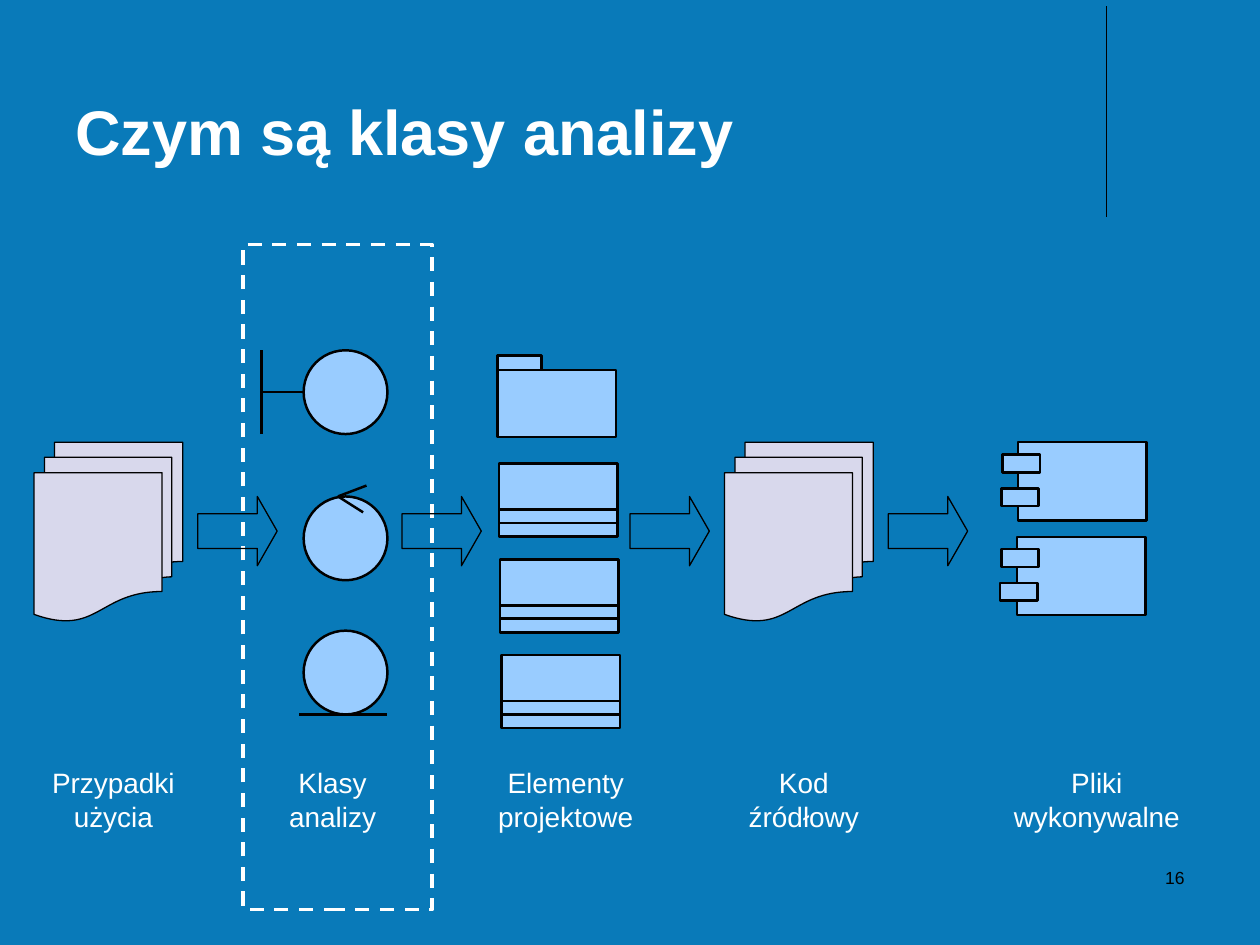
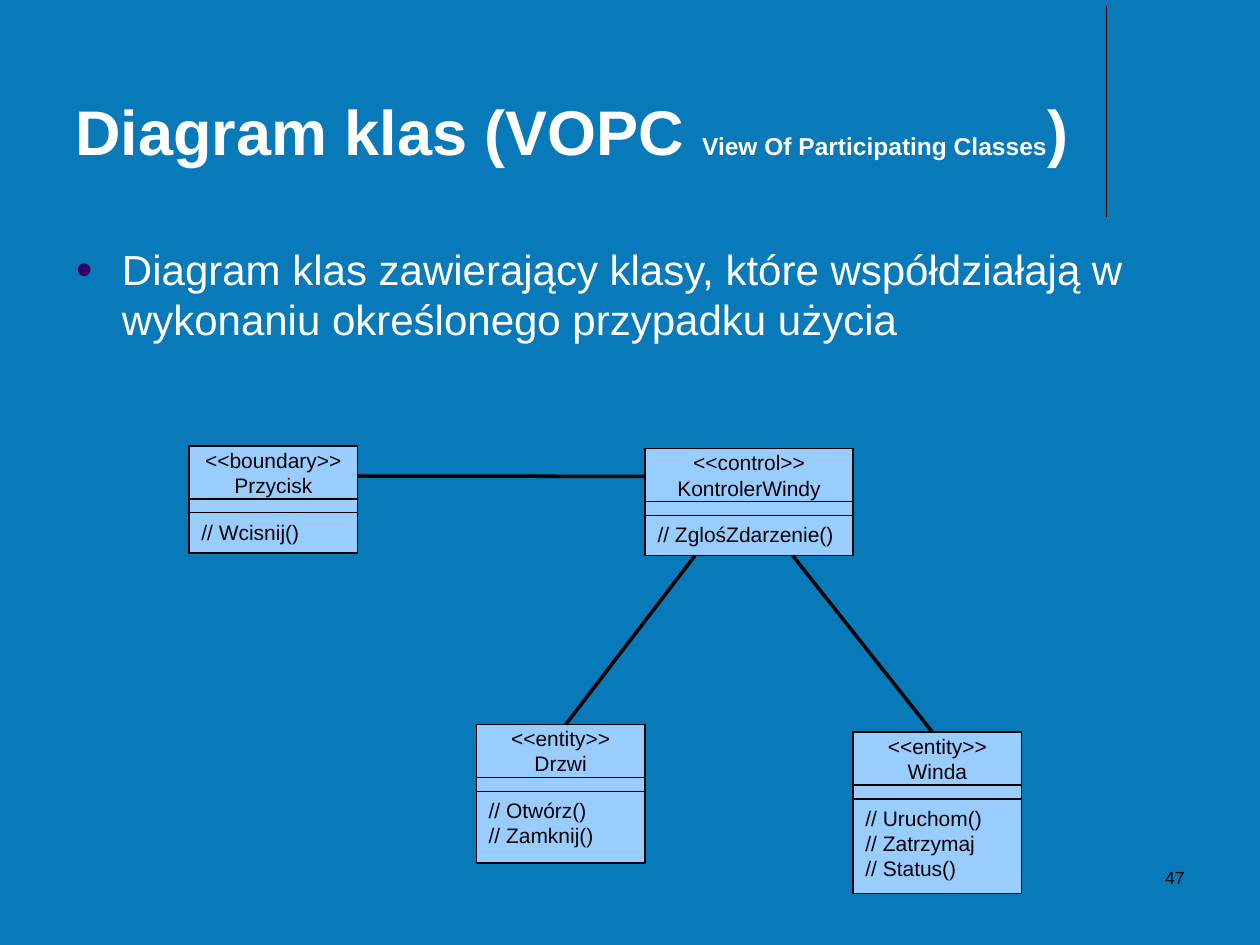
from dataclasses import dataclass

from lxml.etree import SubElement
from pptx import Presentation
from pptx.dml.color import RGBColor
from pptx.enum.dml import MSO_LINE
from pptx.enum.shapes import MSO_CONNECTOR, MSO_SHAPE as Shape
from pptx.enum.text import MSO_ANCHOR as Anchor, PP_ALIGN as Align
from pptx.oxml.ns import qn
from pptx.util import Inches, Pt

COLUMNS, ROWS, CELL = 100, 75, 0.1


@dataclass(frozen=True)
class Theme:
    """Colours, font, type sizes and line weights."""
    font: str = "Arial"
    back: str = "097AB9"
    light: str = "FFFFFF"
    dark: str = "000000"
    node: str = "99CCFF"
    paper: str = "D8D8EC"
    bullet: str = "330066"
    title: int = 36
    subtitle: int = 14
    body: int = 24
    label: int = 16
    member: int = 12
    number: int = 10
    hairline: float = 0
    thin: float = 0.75
    bold: float = 1.42
    frame: float = 2


@dataclass(frozen=True)
class Box:
    """Area measured in grid columns and rows."""
    left: float
    top: float
    width: float
    height: float

    def inner(self, x, y, width, height):
        """Return the inner area given by shares of this box."""
        return Box(*self.point(x, y), self.width * width, self.height * height)

    def point(self, x, y):
        """Return the grid point at the given shares of this box."""
        return self.left + self.width * x, self.top + self.height * y

    def lengths(self):
        """Return left, top, width and height as slide lengths."""
        return [grid(n) for n in (self.left, self.top, self.width, self.height)]


THEME = Theme()
TITLE = Box(5, 1.3, 82.5, 12.5)
BODY = Box(5, 18.8, 90, 13.2)
NUMBER = Box(71.7, 68.3, 23.3, 5)


def grid(cells):
    """Turn grid cells into a slide length."""
    return Inches(cells * CELL)


def rgb(code):
    """Turn a hex code into a colour."""
    return RGBColor.from_string(code)


def write(frame, paragraphs, size, color, align=Align.LEFT, anchor=Anchor.TOP, bold=False):
    """Fill a text frame; each paragraph is a list of (text, size) runs or a string."""
    frame.word_wrap = True
    frame.vertical_anchor = anchor
    for index, content in enumerate(paragraphs):
        para = frame.paragraphs[0] if index == 0 else frame.add_paragraph()
        para.alignment = align
        for text, points in [(content, size)] if isinstance(content, str) else content:
            span = para.add_run()
            span.text = text
            span.font.name = THEME.font
            span.font.size = Pt(points)
            span.font.bold = bold
            span.font.color.rgb = rgb(color)


def add_text(page, box, paragraphs, size, color, **style):
    """Add a text box and return its frame."""
    frame = page.shapes.add_textbox(*box.lengths()).text_frame
    write(frame, paragraphs, size, color, **style)
    return frame


def add_figure(page, kind, box, fill=None, weight=THEME.bold, line=THEME.dark):
    """Add an outlined preset shape, unfilled by default."""
    figure = page.shapes.add_shape(kind, *box.lengths())
    figure.shadow.inherit = False
    if fill:
        figure.fill.solid()
        figure.fill.fore_color.rgb = rgb(fill)
    else:
        figure.fill.background()
    figure.line.color.rgb = rgb(line)
    figure.line.width = Pt(weight)
    return figure


def add_line(page, start, end, weight):
    """Add a straight line between two grid points."""
    ends = [grid(n) for n in (*start, *end)]
    line = page.shapes.add_connector(MSO_CONNECTOR.STRAIGHT, *ends)
    line.line.color.rgb = rgb(THEME.dark)
    line.line.width = Pt(weight)
    SubElement(line.element.spPr, qn("a:effectLst"))


def add_page(deck, title, number):
    """Add a page with background, rule, title and page number."""
    page = deck.slides.add_slide(deck.slide_layouts[6])
    page.background.fill.solid()
    page.background.fill.fore_color.rgb = rgb(THEME.back)
    add_line(page, (87.8, 0.5), (87.8, 17.2), THEME.thin)
    add_text(page, TITLE, [title], THEME.title, THEME.light, anchor=Anchor.BOTTOM, bold=True)
    add_text(page, NUMBER, [str(number)], THEME.number, THEME.dark, align=Align.RIGHT)
    return page


def add_bullet(page, box, text):
    """Add a bulleted statement with a hanging indent."""
    frame = add_text(page, box, [text], THEME.body, THEME.light)
    para = frame.paragraphs[0]
    para.space_before = Pt(6)
    props = para._p.get_or_add_pPr()
    props.set("marL", str(grid(3.7)))
    props.set("indent", str(-grid(3.7)))
    color = SubElement(props, qn("a:buClr"))
    SubElement(color, qn("a:srgbClr"), val=THEME.bullet)
    SubElement(props, qn("a:buSzPct"), val="70000")
    SubElement(props, qn("a:buFont"), typeface=THEME.font)
    SubElement(props, qn("a:buChar"), char="●")


def add_class(page, box, heights, weight):
    """Stack the three compartments of a class and return them."""
    compartments, top = [], box.top
    for height in heights:
        place = Box(box.left, top, box.width, height)
        compartments.append(add_figure(page, Shape.RECTANGLE, place, THEME.node, weight))
        top += height
    return compartments


def add_boundary(page, box):
    """Draw the boundary symbol: a circle tied to a bar on its left."""
    add_figure(page, Shape.OVAL, box, THEME.node)
    add_line(page, box.point(-0.5, 0.5), box.point(0, 0.5), THEME.bold)
    add_line(page, box.point(-0.5, 1), box.point(-0.5, 0), THEME.bold)


def add_control(page, box):
    """Draw the control symbol: a circle with an arrowhead on top."""
    add_figure(page, Shape.OVAL, box, THEME.node)
    for tip in ((0.75, -0.13), (0.71, 0.19)):
        add_line(page, box.point(0.41, 0), box.point(*tip), THEME.bold)


def add_entity(page, box):
    """Draw the entity symbol: a circle resting on a line."""
    add_figure(page, Shape.OVAL, box, THEME.node)
    add_line(page, box.point(-0.05, 1), box.point(1, 1), THEME.bold)


def add_analysis_classes(page, box):
    """Draw the dashed frame with the three analysis symbols."""
    frame = add_figure(page, Shape.RECTANGLE, box, weight=THEME.frame, line=THEME.light)
    frame.line.dash_style = MSO_LINE.DASH
    for draw, top in ((add_boundary, 8.4), (add_control, 20), (add_entity, 30.65)):
        draw(page, Box(box.left + 4.8, box.top + top, 6.65, 6.65))


def add_design_elements(page, box):
    """Draw a package above a column of classes."""
    add_figure(page, Shape.RECTANGLE, box.inner(0, 0.04, 1, 0.18), THEME.node)
    add_figure(page, Shape.RECTANGLE, box.inner(0, 0, 0.37, 0.04), THEME.node)
    for index in range(3):
        place = Box(box.left + 0.1 * (index + 1), box.top + 8.6 + 7.6 * index, box.width, 0)
        add_class(page, place, (3.65, 1.05, 1.1), THEME.bold)


def add_component(page, box):
    """Draw a component with two tabs on its left edge."""
    add_figure(page, Shape.RECTANGLE, box, THEME.node)
    for x, y in ((-0.12, 0.16), (-0.13, 0.59)):
        add_figure(page, Shape.RECTANGLE, box.inner(x, y, 0.29, 0.23), THEME.node)


def add_process(page):
    """Lay out the stages from use cases to executable files."""
    for left in (2.7, 57.5):
        papers = Box(left, 35.1, 11.8, 14.2)
        add_figure(page, Shape.FLOWCHART_MULTIDOCUMENT, papers, THEME.paper, THEME.thin)
    add_analysis_classes(page, Box(19.3, 19.4, 15, 52.8))
    add_design_elements(page, Box(39.5, 28.2, 9.4, 29.5))
    for left in (15.7, 31.9, 50, 70.5):
        arrow = add_figure(page, Shape.RIGHT_ARROW, Box(left, 39.4, 6.3, 5.5), weight=THEME.hairline)
        arrow.adjustments[1] = 0.286
    for index in range(2):
        add_component(page, Box(80.8 - 0.1 * index, 35.1 + 7.5 * index, 10.2, 6.2))
    labels = (
        (2.7, 12.6, ["Przypadki", "użycia"]),
        (20.1, 12.6, ["Klasy analizy"]),
        (37.8, 14.2, ["Elementy", "projektowe"]),
        (57.5, 12.6, ["Kod", "źródłowy"]),
        (78.8, 16.5, ["Pliki wykonywalne"]),
    )
    for left, width, lines in labels:
        add_text(page, Box(left, 60.3, width, 6.4), lines, THEME.label, THEME.light, align=Align.CENTER)


def add_named_class(page, box, stereotype, name, members):
    """Draw a class with its name on top and operations below."""
    heights = (4.2, 1.1, box.height - 5.3)
    head, _, operations = add_class(page, box, heights, THEME.hairline)
    write(head.text_frame, [f"<<{stereotype}>>", name], THEME.member, THEME.dark,
          align=Align.CENTER, anchor=Anchor.MIDDLE)
    write(operations.text_frame, [f"// {member}" for member in members], THEME.member, THEME.dark)


def add_class_diagram(page):
    """Draw the participating classes and their associations."""
    button = Box(15, 35.4, 13.4, 8.5)
    door = Box(37.8, 57.5, 13.4, 11)
    lift = Box(67.7, 58.1, 13.4, 12.8)
    controller = Box(51.2, 35.6, 16.5, 8.5)
    add_named_class(page, button, "boundary", "Przycisk", ["Wcisnij()"])
    add_named_class(page, door, "entity", "Drzwi", ["Otwórz()", "Zamknij()"])
    add_named_class(page, lift, "entity", "Winda", ["Uruchom()", "Zatrzymaj", "Status()"])
    add_named_class(page, controller, "control", "KontrolerWindy", ["ZglośZdarzenie()"])
    associations = (
        (button.point(1, 0.28), controller.point(0, 0.26)),
        (controller.point(0.24, 1), door.point(0.53, 0)),
        (controller.point(0.71, 1), lift.point(0.47, 0)),
    )
    for start, end in associations:
        add_line(page, start, end, THEME.hairline)


def main():
    """Build and save the deck."""
    deck = Presentation()
    deck.slide_width, deck.slide_height = grid(COLUMNS), grid(ROWS)

    add_process(add_page(deck, "Czym są klasy analizy", 16))

    title = [("Diagram klas (VOPC ", THEME.title),
             ("View Of Participating Classes", THEME.subtitle),
             (")", THEME.title)]
    page = add_page(deck, title, 47)
    add_bullet(page, BODY, "Diagram klas zawierający klasy, które współdziałają w "
                           "wykonaniu określonego przypadku użycia")
    add_class_diagram(page)

    deck.save("out.pptx")


if __name__ == "__main__":
    main()
